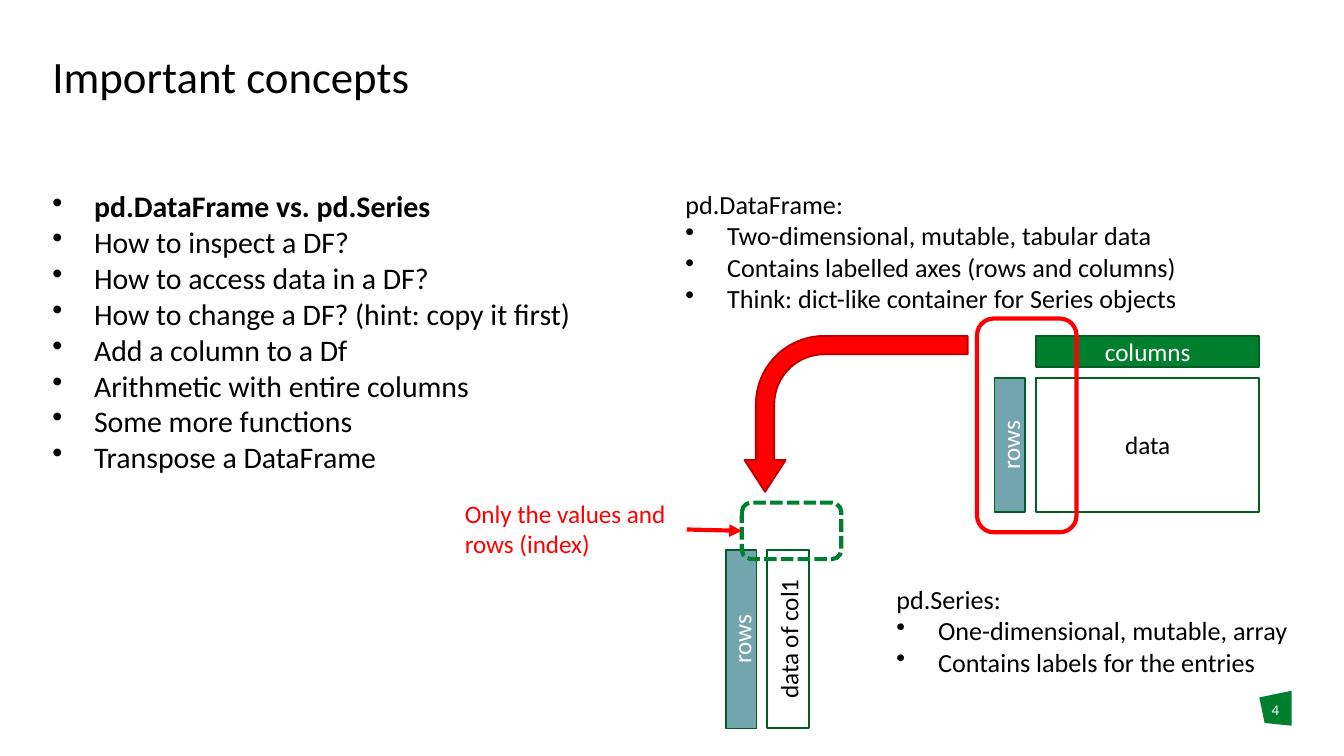
from pptx import Presentation
from pptx.dml.color import RGBColor
from pptx.enum import dml, shapes, text
from pptx.oxml import ns, xmlchemy
from pptx.util import Inches, Pt

# Content
TITLE = "Important concepts"
TOPICS = [
    "pd.DataFrame vs. pd.Series",
    "How to inspect a DF?",
    "How to access data in a DF?",
    "How to change a DF? (hint: copy it first)",
    "Add a column to a Df",
    "Arithmetic with entire columns",
    "Some more functions",
    "Transpose a DataFrame",
]
DATAFRAME = ("pd.DataFrame:", [
    "Two-dimensional, mutable, tabular data",
    "Contains labelled axes (rows and columns)",
    "Think: dict-like container for Series objects",
])
SERIES = ("pd.Series:", [
    "One-dimensional, mutable, array",
    "Contains labels for the entries",
])
HINT = "Only the values and rows (index)"
PAGE = "4"

THEME = {
    "font": "Calibri",
    "black": "000000", "white": "FFFFFF", "red": "FF0000", "dark red": "C00000",
    "green": "00802F", "dark green": "005F23", "teal": "73A5AF",
    "title": 24, "topics": 16, "notes": 14, "label": 13.5, "page": 8,
    "thin": 1, "thick": 2.25,
}
MARGIN, BODY_TOP, COLUMN_W = 0.39, 1.4, 4.51
BULLET_INDENT = 0.31
BAR = 0.23  # thickness of the header and index bars
GAP = 0.08  # between a bar and the data beside it

prs = Presentation()
prs.slide_width, prs.slide_height = Inches(10), Inches(5.625)
slide = prs.slides.add_slide(prs.slide_layouts[5])


def color(name):
    return RGBColor.from_string(THEME[name])


def box(*lengths):
    return [Inches(length) for length in lengths]


def style(paragraph, size, ink="black", bold=False, align=None):
    paragraph.alignment = align
    for run in paragraph.runs:
        run.font.name = THEME["font"]
        run.font.size = Pt(THEME[size])
        run.font.color.rgb = color(ink)
        run.font.bold = bold


def clear_insets(frame):
    frame.margin_left = frame.margin_right = frame.margin_top = frame.margin_bottom = 0


def add_bullet(paragraph):
    props = paragraph._p.get_or_add_pPr()
    props.set("marL", str(Inches(BULLET_INDENT)))
    props.set("indent", str(-Inches(BULLET_INDENT)))
    bullet = xmlchemy.OxmlElement("a:buChar")
    bullet.set("char", "•")
    props.append(bullet)


def add_list(at, items, size, heading=None, bold_first=False):
    frame = slide.shapes.add_textbox(*box(*at)).text_frame
    frame.word_wrap = True
    clear_insets(frame)
    frame.text = "\n".join(([heading] if heading else []) + items)
    for index, paragraph in enumerate(frame.paragraphs):
        style(paragraph, size, bold=bold_first and index == 0)
        if index or not heading:
            add_bullet(paragraph)


def paint(shape, fill=None, line=None, width="thin"):
    shape.shadow.inherit = False
    if fill:
        shape.fill.solid()
        shape.fill.fore_color.rgb = color(fill)
    else:
        shape.fill.background()
    if line:
        shape.line.color.rgb = color(line)
        shape.line.width = Pt(THEME[width])
    else:
        shape.line.fill.background()


def add_block(at, label, fill=None, ink="black"):
    block = slide.shapes.add_shape(shapes.MSO_SHAPE.RECTANGLE, *box(*at))
    paint(block, fill, "dark green")
    frame = block.text_frame
    frame.text = label
    frame.vertical_anchor = text.MSO_ANCHOR.MIDDLE
    style(frame.paragraphs[0], "label", ink, align=text.PP_ALIGN.CENTER)
    return block


def add_index(right, top, length):
    """Upright index bar: a level bar turned about its centre."""
    left = right - BAR / 2 - length / 2
    bar = add_block((left, top + length / 2 - BAR / 2, length, BAR), "rows", "teal", "white")
    bar.rotation = 270


def add_frame(at, line):
    frame = slide.shapes.add_shape(shapes.MSO_SHAPE.ROUNDED_RECTANGLE, *box(*at))
    paint(frame, line=line, width="thick")
    return frame


# Page number on its green tag
outline = [(9.37, 5.19), (9.61, 5.14), (9.61, 5.4), (9.41, 5.38)]
builder = slide.shapes.build_freeform(*box(*outline[0]), scale=1.0)
builder.add_line_segments([box(*point) for point in outline[1:]], close=True)
paint(builder.convert_to_shape(), "green")
page = slide.shapes.add_textbox(*box(9.37, 5.21, 0.24, 0.3)).text_frame
page.word_wrap = True
clear_insets(page)
page.text = PAGE
style(page.paragraphs[0], "page", "white", align=text.PP_ALIGN.CENTER)

# Title
title = slide.shapes.title
title.left, title.top, title.width, title.height = box(MARGIN, 0.41, 9.22, 0.67)
title.text_frame.text = TITLE
title.text_frame.vertical_anchor = text.MSO_ANCHOR.TOP
clear_insets(title.text_frame)
title.text_frame.paragraphs[0].line_spacing = 0.9
style(title.text_frame.paragraphs[0], "title", align=text.PP_ALIGN.LEFT)

# Text columns
add_list((MARGIN, BODY_TOP, COLUMN_W, 3.5), TOPICS, "topics", bold_first=True)
add_list((5.1, BODY_TOP, COLUMN_W, 1.08), DATAFRAME[1], "notes", DATAFRAME[0])
add_list((6.67, 4.34, 2.94, 1.08), SERIES[1], "notes", SERIES[0])

# DataFrame diagram
data_left, data_top, data_w, data_h = 7.71, 2.81, 1.66, 1
add_block((data_left, data_top, data_w, data_h), "data")
add_block((data_left, data_top - GAP - BAR, data_w, BAR), "columns", "green", "white")
add_index(data_left - GAP, data_top, data_h)
add_frame((7.27, 2.37, 0.74, 1.59), "red")

# Arrow from the DataFrame to the Series
bend = slide.shapes.add_shape(shapes.MSO_SHAPE.BENT_ARROW, *box(5.79, 2.25, 1.16, 1.66))
for index, value in enumerate((0.118, 0.132, 0.204, 0.438)):
    bend.adjustments[index] = value
bend.rotation = 270
bend._element.spPr.find(ns.qn("a:xfrm")).set("flipH", "1")
paint(bend, "red", "dark red")

# Series diagram
series_left, series_top, series_h = 5.71, 4.09, 1.33
column = add_block((series_left, series_top, 0.31, series_h), "data of col1")
column.text_frame._txBody.bodyPr.set("vert", "vert270")
add_index(series_left - GAP, series_top, series_h)
missing_header = add_frame((5.52, 3.74, 0.74, 0.42), "green")
missing_header.line.dash_style = dml.MSO_LINE.SQUARE_DOT

# Hint and its arrow
hint = slide.shapes.add_textbox(*box(3.36, 3.66, 1.75, 0.56))
hint.text_frame.word_wrap = True
hint.text_frame.auto_size = text.MSO_AUTO_SIZE.SHAPE_TO_FIT_TEXT
hint.text_frame.text = HINT
style(hint.text_frame.paragraphs[0], "label", "red")
pointer = slide.shapes.add_connector(
    shapes.MSO_CONNECTOR.STRAIGHT, *box(5.11, 3.94, 5.52, 3.95))
pointer.begin_connect(hint, 3)
pointer.end_connect(missing_header, 1)
pointer.line.color.rgb = color("red")
pointer.line.width = Pt(THEME["thick"])
head = xmlchemy.OxmlElement("a:tailEnd")
head.set("type", "triangle")
pointer.line._get_or_add_ln().append(head)
pointer._element.spPr.append(xmlchemy.OxmlElement("a:effectLst"))

prs.save("out.pptx")
